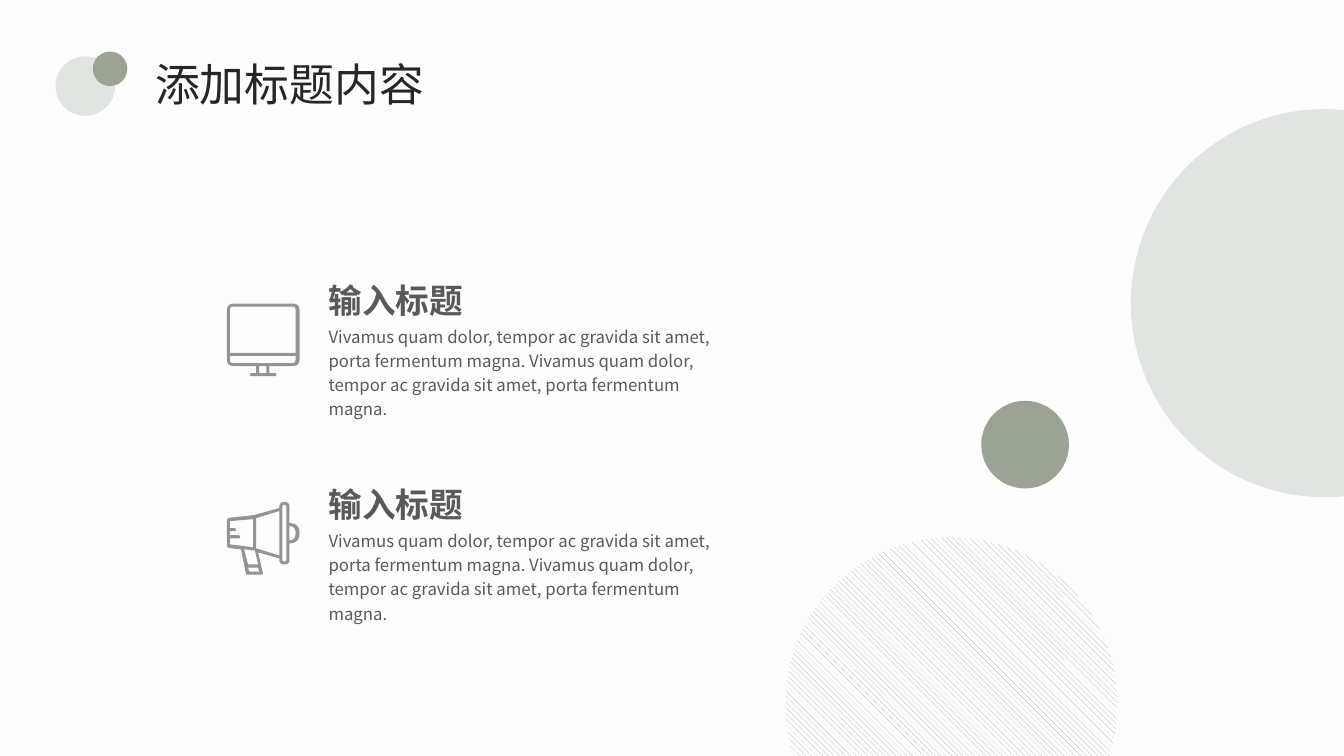
"""Build a title slide with two icon topics and decorative circles."""
import lxml.etree
import pptx
import pptx.dml.color
import pptx.enum.dml
import pptx.enum.shapes
import pptx.enum.text
import pptx.oxml.ns
import pptx.util

Cm = pptx.util.Cm
RGBColor = pptx.dml.color.RGBColor

PAPER = RGBColor(0xFD, 0xFD, 0xFD)
WHITE = RGBColor(0xFF, 0xFF, 0xFF)
INK = RGBColor(0x26, 0x26, 0x26)
GREY = RGBColor(0x59, 0x59, 0x59)
ICON_GREY = RGBColor(0x92, 0x95, 0x91)
MIST = RGBColor(0xE1, 0xE5, 0xE2)
SAGE = RGBColor(0x9A, 0xA3, 0x94)

ICON_GRID = 72
FINE = 100
MONITOR = [
    [(0, 0, 7), (72, 0, 7), (72, 62, 7), (42, 62), (42, 69), (49, 69, 1.5),
     (49, 72, 1.5), (23, 72, 1.5), (23, 69, 1.5), (29, 69), (29, 62), (0, 62, 7)],
    [(3, 49), (3, 3, 3), (68, 3, 3), (68, 49)],
    [(3, 52), (68, 52), (68, 59, 3), (3, 59, 3)],
    [(32, 62), (39, 62), (39, 69), (32, 69)],
]
MEGAPHONE = [
    [(62, 21), (62, 0, 5), (52, 0, 5), (52, 6), (27, 13), (0, 16, 3), (0, 45.5, 3),
     (14, 47), (19, 72, 1), (36, 72, 2), (31, 50), (52, 56), (52, 62, 5),
     (62, 62, 5), (62, 41), (72, 41, 10), (72, 21, 10)],
    [(62, 24), (68, 24, 6), (68, 38, 6), (62, 38)],
    [(55, 3, 2), (59, 3, 2), (59, 59, 2), (55, 59, 2)],
    [(52, 53), (29, 46), (29, 16), (52, 9)],
    [(31, 65), (32, 69), (22, 69), (21, 65)],
    [(21, 62), (17, 47), (27, 48), (28, 49), (31, 62)],
    [(3, 42), (3, 36), (13, 36, 1.5), (13, 33, 1.5), (3, 33), (3, 29),
     (9, 29, 1.5), (9, 26, 1.5), (3, 26), (3, 19), (26, 17), (26, 45)],
]
TOPIC_TITLE = "输入标题"
TOPIC_BODY = " ".join(
    ["Vivamus quam dolor, tempor ac gravida sit amet, porta fermentum magna."] * 2)


def toward(corner, other, radius):
    """Return the point at a distance of radius from corner toward other."""
    dx, dy = other[0] - corner[0], other[1] - corner[1]
    share = radius / (dx * dx + dy * dy) ** 0.5
    return corner[0] + dx * share, corner[1] + dy * share


def rounded(contour, steps=8):
    """Return fine-grid points of a contour whose corners carry radii."""
    points = []
    for index, corner in enumerate(contour):
        x, y, *radius = corner
        if not radius:
            points.append((x * FINE, y * FINE))
            continue
        start = toward(corner, contour[index - 1], radius[0])
        end = toward(corner, contour[(index + 1) % len(contour)], radius[0])
        for step in range(steps + 1):
            t = step / steps
            points.append(tuple(
                FINE * ((1 - t) ** 2 * a + 2 * t * (1 - t) * c + t * t * b)
                for a, c, b in zip(start, (x, y), end)))
    return points


class Deck:
    """Hold the style and the current slide."""

    font = "Noto Sans CJK SC"

    def __init__(self):
        """Open a widescreen presentation with one blank slide."""
        self.presentation = pptx.Presentation()
        self.presentation.slide_width = Cm(33.87)
        self.presentation.slide_height = Cm(19.05)
        self.slide = self.presentation.slides.add_slide(
            self.presentation.slide_layouts[6])
        self.slide.background.fill.solid()
        self.slide.background.fill.fore_color.rgb = PAPER

    def text(self, text, left, top, width, height, *, size, color,
             bold=False, wrap=True, spacing=None):
        """Add a text box with one formatted paragraph."""
        box = self.slide.shapes.add_textbox(Cm(left), Cm(top), Cm(width), Cm(height))
        frame = box.text_frame
        frame.word_wrap = wrap
        frame.auto_size = pptx.enum.text.MSO_AUTO_SIZE.SHAPE_TO_FIT_TEXT
        paragraph = frame.paragraphs[0]
        paragraph.line_spacing = spacing
        run = paragraph.add_run()
        run.text = text
        run.font.name = self.font
        run.font.size = pptx.util.Pt(size)
        run.font.bold = bold
        run.font.color.rgb = color
        lxml.etree.SubElement(run._r.get_or_add_rPr(), pptx.oxml.ns.qn("a:ea"),
                              typeface=self.font)

    def circle(self, left, top, diameter, color, group=None, striped=False):
        """Add a plain or striped circle to the slide or a group."""
        shapes = (group or self.slide).shapes
        disc = shapes.add_shape(pptx.enum.shapes.MSO_SHAPE.OVAL, Cm(left), Cm(top),
                                Cm(diameter), Cm(diameter))
        disc.shadow.inherit = False
        disc.line.fill.background()
        if striped:
            disc.fill.patterned()
            disc.fill.pattern = pptx.enum.dml.MSO_PATTERN.WIDE_DOWNWARD_DIAGONAL
            disc.fill.back_color.rgb = WHITE
        else:
            disc.fill.solid()
        disc.fill.fore_color.rgb = color

    def icon(self, contours, left, top, size):
        """Add an icon as one freeform with cut-out contours."""
        outlines = [rounded(contour) for contour in contours]
        builder = self.slide.shapes.build_freeform(
            *outlines[0][0], scale=Cm(size) / (ICON_GRID * FINE))
        builder.add_line_segments(outlines[0][1:])
        for outline in outlines[1:]:
            builder.move_to(*outline[0])
            builder.add_line_segments(outline[1:])
        figure = builder.convert_to_shape(Cm(left), Cm(top))
        figure.shadow.inherit = False
        figure.line.fill.background()
        figure.fill.solid()
        figure.fill.fore_color.rgb = ICON_GREY

    def topic(self, contours, icon_top, title_top):
        """Add an icon with its heading and description."""
        self.icon(contours, 5.72, icon_top, 1.83)
        self.text(TOPIC_TITLE, 8.03, title_top, 10.19, 1.37,
                  size=24, color=GREY, bold=True, spacing=1.2)
        self.text(TOPIC_BODY, 8.03, title_top + 1.28, 10.19, 2.72,
                  size=12, color=GREY, spacing=1.2)


def main():
    """Compose and save the slide."""
    deck = Deck()
    deck.text("添加标题内容", 3.66, 1.3, 7.34, 1.63, size=32, color=INK, wrap=False)
    emblem = deck.slide.shapes.add_group_shape()
    deck.circle(1.4, 1.42, 1.5, MIST, group=emblem)
    deck.circle(2.34, 1.3, 0.87, SAGE, group=emblem)
    deck.topic(MONITOR, 7.65, 6.72)
    deck.topic(MEGAPHONE, 12.65, 11.87)
    deck.circle(28.5, 2.75, 9.78, MIST)
    deck.circle(19.79, 13.54, 8.38, SAGE, striped=True)
    deck.circle(24.73, 10.1, 2.21, SAGE)
    deck.presentation.save("out.pptx")


if __name__ == "__main__":
    main()
